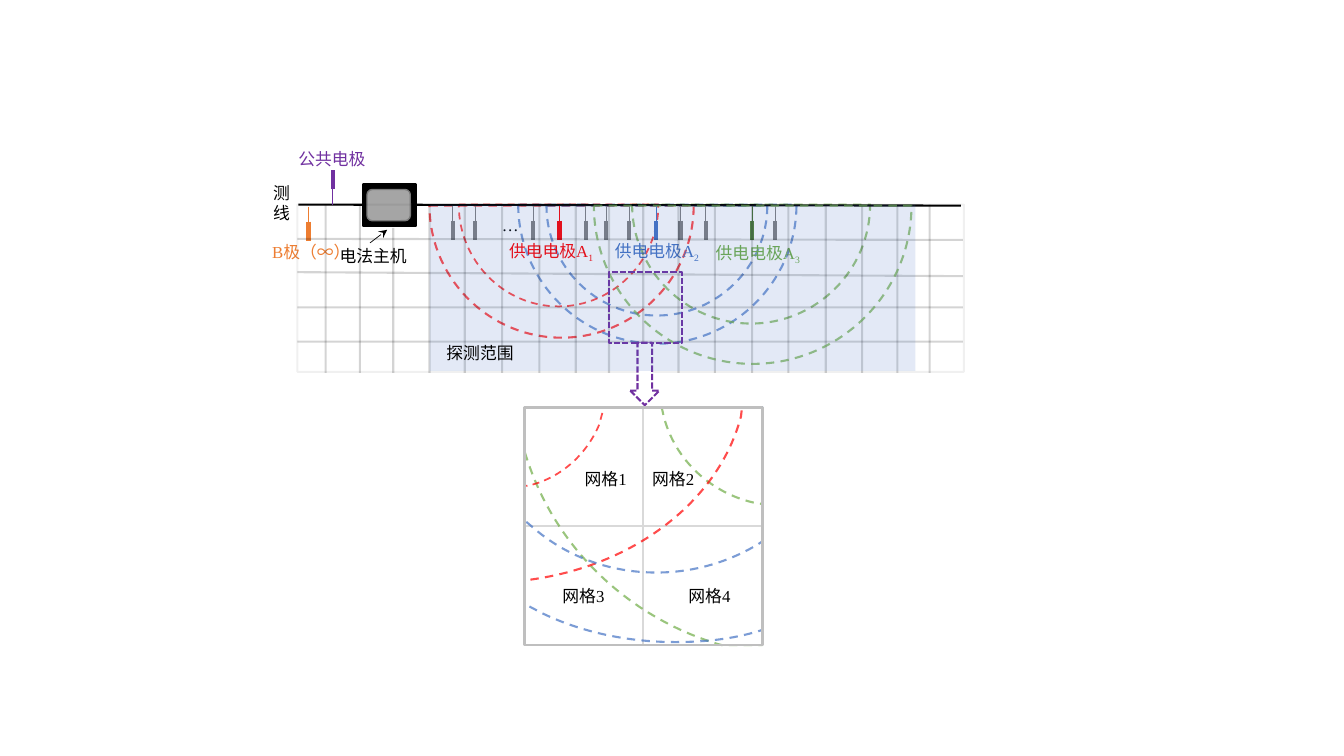
from dataclasses import dataclass
from typing import Any, Optional

from lxml import etree
from pptx import Presentation
from pptx import util as u
from pptx.dml.color import RGBColor
from pptx.enum import dml, shapes, text
from pptx.oxml import ns

COLOURS = {
    "black": "000000", "white": "FFFFFF", "red": "FF0000", "blue": "4472C4",
    "green": "70AD47", "dark green": "548235", "orange": "ED7D31",
    "purple": "7030A0", "grey": "808080", "screen": "A5A5A5",
    "screen edge": "7A7A7A", "divider": "D9D9D9", "frame": "BFBFBF",
}
CJK, LATIN = "Noto Sans CJK SC", "Times New Roman"
DASH, SHORT_DASH = dml.MSO_LINE.DASH, dml.MSO_LINE.SQUARE_DOT
RECT = shapes.MSO_SHAPE.RECTANGLE
FRAME_FORMAT = {"word_wrap": True, "auto_size": text.MSO_AUTO_SIZE.SHAPE_TO_FIT_TEXT}
ARC = 0.55  # handle length of a quarter circle, as a share of its radius
Point = tuple[float, float]


@dataclass(frozen=True)
class Stroke:
    colour: str
    width: float = 1.5
    dash: Any = None
    opacity: int = 100


@dataclass(frozen=True)
class Electrode:
    x: float
    colour: str = "grey"
    top: float = 2.04
    direction: int = 1


@dataclass(frozen=True)
class Label:
    left: float
    top: float
    width: float
    colour: str
    spans: tuple[tuple[str, str], ...]
    subscript: str = ""
    height: float = 0.3


@dataclass(frozen=True)
class Outline:
    """Steps of two numbers are corners; steps of six are cubic curves."""
    stroke: Stroke
    steps: tuple[tuple[float, ...], ...]


def rgb(name: str) -> RGBColor:
    return RGBColor.from_string(COLOURS[name])


def set_opacity(shape: Any, percent: int) -> None:
    if percent < 100:
        for colour in shape.element.iter(ns.qn("a:srgbClr")):
            etree.SubElement(colour, ns.qn("a:alpha"), val=str(percent * 1000))


def apply_stroke(shape: Any, stroke: Stroke) -> None:
    shape.line.color.rgb = rgb(stroke.colour)
    for name, value in {"width": u.Pt(stroke.width), "dash_style": stroke.dash}.items():
        setattr(shape.line, name, value)
    set_opacity(shape, stroke.opacity)


def draw_line(parent: Any, start: Point, end: Point, stroke: Stroke, arrow: bool = False) -> None:
    line = parent.add_connector(shapes.MSO_CONNECTOR.STRAIGHT,
                                *(u.Inches(value) for value in (*start, *end)))
    apply_stroke(line, stroke)
    properties = line.element.spPr
    if arrow:
        etree.SubElement(properties.find(ns.qn("a:ln")), ns.qn("a:tailEnd"), type="stealth")
    etree.SubElement(properties, ns.qn("a:effectLst"))


def draw_shape(parent: Any, kind: Any, place: tuple[float, ...], stroke: Optional[Stroke] = None,
               fill: str = "", opacity: int = 100) -> None:
    shape = parent.add_shape(kind, *(u.Inches(value) for value in place))
    shape.shadow.inherit = False
    if fill:
        shape.fill.solid()
        shape.fill.fore_color.rgb = rgb(fill)
        set_opacity(shape, opacity)
    else:
        shape.fill.background()
    if stroke:
        apply_stroke(shape, stroke)
    else:
        shape.line.fill.background()


def draw_outline(parent: Any, outline: Outline) -> None:
    first, *rest = [(u.Inches(step[i]), u.Inches(step[i + 1]))
                    for step in outline.steps for i in range(0, len(step), 2)]
    builder = parent.build_freeform(*first)
    builder.add_line_segments(rest, close=True)
    shape = builder.convert_to_shape()
    shape.shadow.inherit = False
    shape.fill.background()
    apply_stroke(shape, outline.stroke)

    # Join the three segments of each curve step into one cubic curve
    segments = iter(list(shape.element.iter(ns.qn("a:lnTo"))))
    for step in outline.steps[1:]:
        parts = [next(segments) for _ in range(len(step) // 2)]
        if len(parts) == 3:
            curve = etree.Element(ns.qn("a:cubicBezTo"))
            parts[0].addprevious(curve)
            for part in parts:
                curve.append(part[0])
                part.getparent().remove(part)


def half_circle(left: float, top: float, width: float, depth: float, stroke: Stroke) -> Outline:
    radius = width / 2
    middle, right, bottom = left + radius, left + width, top + depth
    reach, drop = radius * ARC, top + depth * ARC
    return Outline(stroke, ((left, top), (right, top),
                            (right, drop, middle + reach, bottom, middle, bottom),
                            (middle - reach, bottom, left, drop, left, top)))


def draw_electrode(page: Any, electrode: Electrode) -> None:
    group = page.shapes.add_group_shape().shapes
    joint = electrode.top + 0.15 * electrode.direction
    tip = joint + 0.19 * electrode.direction
    for start, end, width in ((electrode.top, joint, 0.5), (joint, tip, 3)):
        draw_line(group, (electrode.x, start), (electrode.x, end), Stroke(electrode.colour, width))


def draw_label(page: Any, label: Label) -> None:
    place = (label.left, label.top, label.width, label.height)
    box = page.shapes.add_textbox(*(u.Inches(value) for value in place))
    for name, value in FRAME_FORMAT.items():
        setattr(box.text_frame, name, value)
    para = box.text_frame.paragraphs[0]
    for wording, font in (*label.spans, (label.subscript, LATIN)):
        if not wording:
            continue
        span = para.add_run()
        span.text = wording
        for name, value in {"size": u.Pt(12), "name": font}.items():
            setattr(span.font, name, value)
        span.font.color.rgb = rgb(label.colour)
        properties = span.font._element
        etree.SubElement(properties, ns.qn("a:ea"), typeface=CJK)
        if wording == label.subscript:
            properties.set("baseline", "-25000")


def dashed(colour: str, width: float = 1.5) -> Stroke:
    return Stroke(colour, width, DASH, 70)


HALF_CIRCLES = [
    half_circle(4.26, 2.04, 2.62, 1.31, dashed("red")),
    half_circle(5.42, 2.04, 2.19, 1.09, dashed("blue")),
    half_circle(5.14, 2.03, 2.76, 1.38, dashed("blue")),
    half_circle(6.27, 2.03, 2.36, 1.18, dashed("green")),
    half_circle(4.55, 2.03, 1.98, 1.01, dashed("red", 1.25)),
]
WIDEST_HALF_CIRCLE = half_circle(5.89, 2.04, 3.15, 1.57, dashed("green"))
ELECTRODES = [
    Electrode(3.06, "orange", 2.05), Electrode(3.3, "purple", 2.03, -1),
    Electrode(5.55, "red"), Electrode(6.51, "blue"), Electrode(7.46, "dark green"),
    *(Electrode(x) for x in (4.49, 4.71, 5.29, 5.81, 6.01, 6.24, 6.75, 7, 7.69)),
]
LABELS = [
    Label(2.61, 1.76, 0.49, "black", (("测线", CJK),), height=0.5),
    Label(3.27, 2.39, 1.19, "black", (("电法主机", CJK),)),
    Label(2.6, 2.35, 1.19, "orange", (("B", LATIN), ("极（∞）", CJK))),
    Label(4.95, 2.34, 1.19, "red", (("供电电极A", LATIN),), "1"),
    Label(6, 2.34, 1.19, "blue", (("供电电极A", LATIN),), "2"),
    Label(7, 2.36, 1.19, "green", (("供电电极A", LATIN),), "3"),
    Label(4.88, 2.08, 0.42, "black", (("…", LATIN),)),
    Label(2.86, 1.43, 0.88, "purple", (("公共电", LATIN), ("极", CJK))),
]
CELLS = [(5.7, 4.6), (6.37, 4.6), (5.48, 5.76), (6.73, 5.76)]
GRID_ROWS = [(2.37, 2.38), (2.7, 2.74), (3.05, 3.05), (3.39, 3.39)]
GRID_COLUMNS = [3.23, 3.57, 3.9, 4.26, 4.61, 4.98, 5.35, 5.71, 6.04,
                6.38, 6.73, 7.09, 7.46, 7.82, 8.19, 8.55, 8.9, 9.22]
ZOOM_ARCS = [
    Outline(dashed("green"), ((5.2, 4.04), (7.56, 4.04), (7.56, 6.4), (7.16, 6.4), (7.12, 6.39),
                              (6.21, 6.11, 5.5, 5.42, 5.22, 4.53), (5.2, 4.47))),
    Outline(dashed("green"), ((6.56, 4.04), (7.56, 4.04), (7.56, 5), (7.49, 4.99),
                              (7.03, 4.89, 6.66, 4.53, 6.57, 4.07))),
    Outline(dashed("red", 1.25), ((5.2, 4.04), (5.99, 4.04), (5.94, 4.22),
                                  (5.81, 4.52, 5.55, 4.75, 5.23, 4.82), (5.2, 4.82))),
    Outline(dashed("red"), ((5.2, 4.04), (7.36, 4.04), (7.35, 4.13),
                            (7.14, 4.94, 6.34, 5.58, 5.33, 5.74), (5.2, 5.76))),
    Outline(dashed("blue"), ((5.2, 4.04), (7.56, 4.04), (7.56, 6.25), (7.53, 6.26),
                             (7.27, 6.34, 6.99, 6.37, 6.7, 6.37),
                             (6.22, 6.37, 5.76, 6.27, 5.37, 6.08), (5.2, 5.99))),
    Outline(dashed("blue"), ((5.2, 4.04), (7.56, 4.04), (7.56, 5.37), (7.55, 5.38),
                             (7.25, 5.57, 6.89, 5.68, 6.51, 5.68),
                             (6.06, 5.68, 5.65, 5.53, 5.33, 5.27), (5.2, 5.16))),
]


def main() -> None:
    deck = Presentation()
    deck.slide_width, deck.slide_height = u.Inches(13.33), u.Inches(7.5)
    page = deck.slides.add_slide(deck.slide_layouts[6])
    canvas = page.shapes

    # Survey line and host instrument
    for half in HALF_CIRCLES:
        draw_outline(canvas, half)
    draw_line(canvas, (3.67, 2.41), (3.84, 2.28), Stroke("black", 0.5), arrow=True)
    draw_line(canvas, (2.96, 2.03), (9.53, 2.04), Stroke("black"))
    host = canvas.add_group_shape().shapes
    draw_shape(host, RECT, (3.6, 1.83, 0.53, 0.41), Stroke("black"), "black")
    draw_shape(host, shapes.MSO_SHAPE.ROUNDED_RECTANGLE, (3.64, 1.88, 0.43, 0.31),
               Stroke("screen edge", 1), "screen")

    # Electrodes and their labels
    for electrode in ELECTRODES:
        draw_electrode(page, electrode)
    for label in LABELS:
        draw_label(page, label)

    # Ground grid
    grid = canvas.add_group_shape().shapes
    faint = Stroke("black", opacity=16)
    for left_y, right_y in GRID_ROWS:
        draw_line(grid, (2.95, left_y), (9.55, right_y), faint)
    for x in GRID_COLUMNS:
        draw_line(grid, (x, 2.26 if x == 3.9 else 2.03), (x, 3.7), faint)
    draw_shape(grid, RECT, (2.95, 2.03, 6.61, 1.66), Stroke("black", opacity=5))
    draw_outline(canvas, WIDEST_HALF_CIRCLE)

    # Enlarged window
    window = Stroke("purple", dash=SHORT_DASH)
    draw_shape(canvas, RECT, (6.04, 2.7, 0.72, 0.7), window)
    draw_shape(canvas, shapes.MSO_SHAPE.DOWN_ARROW, (6.25, 3.4, 0.29, 0.62), window, "white")
    for start, end in (((5.2, 5.22), (7.56, 5.22)), ((6.38, 6.4), (6.38, 4.04))):
        draw_line(canvas, start, end, Stroke("divider", 1.75))
    for outline in ZOOM_ARCS:
        draw_outline(canvas, outline)
    draw_shape(canvas, RECT, (5.2, 4.04, 2.36, 2.36), Stroke("frame", 2))
    for number, (left, top) in enumerate(CELLS, 1):
        draw_label(page, Label(left, top, 0.72, "black", (("网格", CJK), (str(number), LATIN))))

    # Detection range
    draw_shape(canvas, RECT, (4.26, 2.03, 4.82, 1.65), fill="blue", opacity=15)
    draw_label(page, Label(4.33, 3.35, 1.04, "black", (("探测范围", CJK),)))
    deck.save("out.pptx")


if __name__ == "__main__":
    main()
